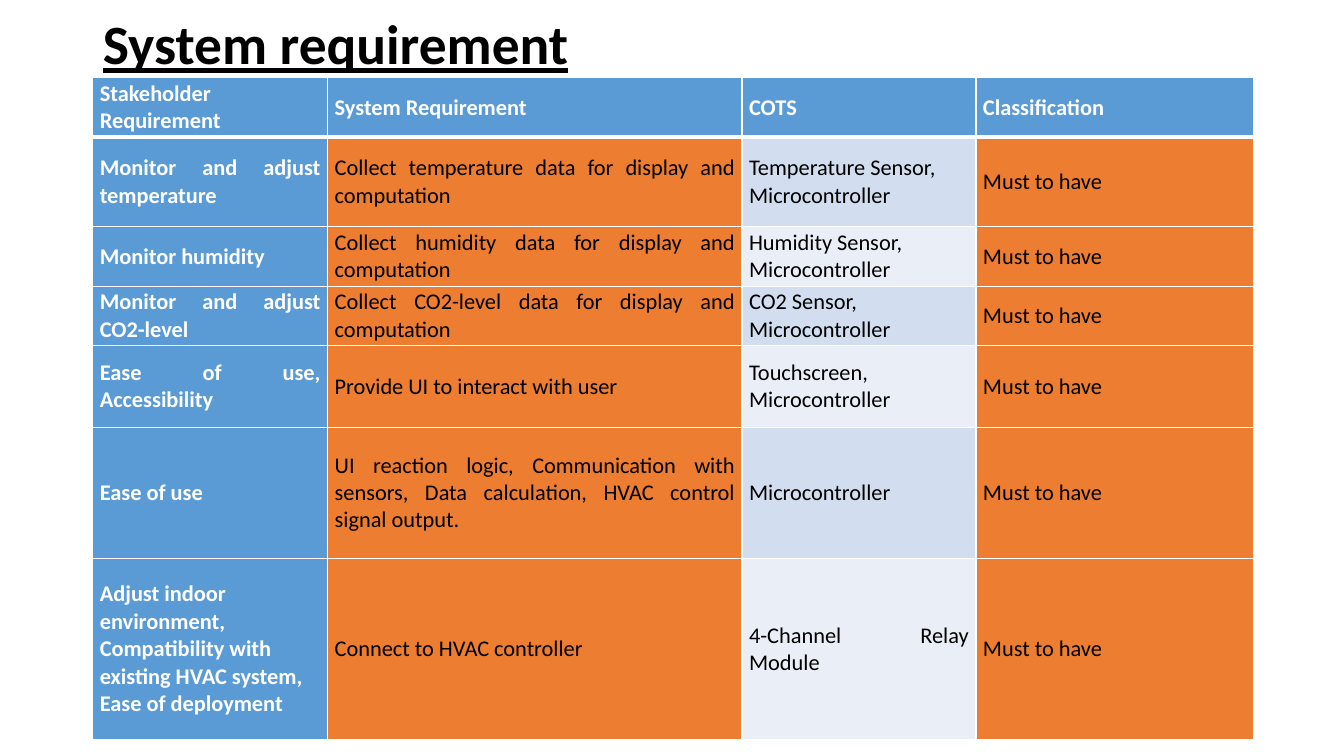
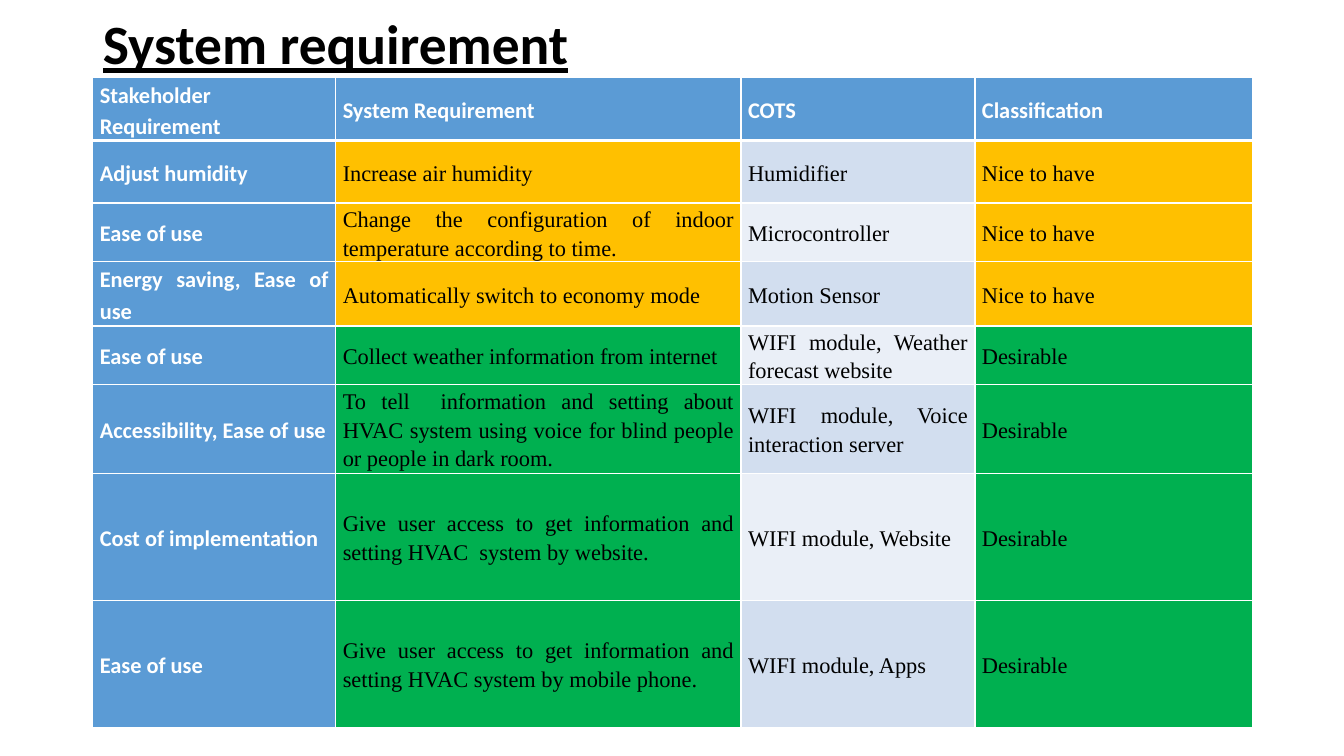
from lxml.etree import SubElement
from pptx import Presentation
from pptx.dml.color import RGBColor
from pptx.enum.text import MSO_ANCHOR, MSO_AUTO_SIZE, PP_ALIGN
from pptx.oxml.ns import qn
from pptx.util import Inches, Pt

# Content: each row ends with its classification
TITLE = "System requirement"
HEADER = ("Stakeholder Requirement", "System Requirement", "COTS", "Classification ")
MUST, NICE, DESIRABLE = "Must to have", "Nice to have", "Desirable"

ESSENTIAL_ROWS = [
    ("Monitor and adjust temperature",
     "Collect temperature data for display and computation",
     "Temperature Sensor, Microcontroller", MUST),
    ("Monitor humidity", "Collect humidity data for display and computation",
     "Humidity Sensor, Microcontroller", MUST),
    ("Monitor and adjust CO2-level",
     "Collect CO2-level data for display and computation",
     "CO2 Sensor, Microcontroller", MUST),
    ("Ease of use, Accessibility", "Provide UI to interact with user",
     "Touchscreen, Microcontroller", MUST),
    ("Ease of use",
     "UI reaction logic, Communication with sensors, Data calculation, "
     "HVAC control signal output.",
     "Microcontroller", MUST),
    ("Adjust indoor environment, Compatibility with existing HVAC system, "
     "Ease of deployment ",
     "Connect to HVAC controller", "4-Channel Relay Module", MUST),
]
OPTIONAL_ROWS = [
    ("Adjust humidity", "Increase air humidity", "Humidifier", NICE),
    ("Ease of use",
     "Change the configuration of indoor temperature according to time.",
     "Microcontroller", NICE),
    ("Energy saving, Ease of use", "Automatically switch to economy mode",
     "Motion Sensor", NICE),
    ("Ease of use", "Collect weather information from internet",
     "WIFI module, Weather forecast website", DESIRABLE),
    ("Accessibility, Ease of use",
     "To tell  information and setting about HVAC system using voice "
     "for blind people or people in dark room.",
     "WIFI module, Voice interaction server", DESIRABLE),
    ("Cost of implementation",
     "Give user access to get information and setting HVAC  system by website.",
     "WIFI module, Website", DESIRABLE),
    ("Ease of use",
     "Give user access to get information and setting HVAC system by mobile phone.",
     "WIFI module, Apps", DESIRABLE),
]

# left_cells holds the (row, column) places that are not justified
SLIDES = [
    dict(rows=ESSENTIAL_ROWS, columns=(2.33, 4.11, 2.32, 2.75),
         heights=(0.59, 0.89, 0.59, 0.59, 0.81, 1.3, 1.8),
         body_font="Calibri", spacing=1.0,
         left_cells={(0, 0), (0, 1), (1, 2), (2, 2), (3, 2), (4, 2), (5, 0), (6, 0)}),
    dict(rows=OPTIONAL_ROWS, columns=(2.41, 4.02, 2.32, 2.75),
         heights=(0.58, 0.62, 0.58, 0.64, 0.58, 0.88, 1.26, 1.26),
         body_font="Times New Roman", spacing=1.15,
         left_cells={(0, 0), (0, 1), (1, 0), (2, 0), (5, 0), (6, 0)}),
]

# Shared style
COLORS = {"white": "FFFFFF", "black": "000000", "blue": "5B9BD5",
          "odd": "D2DEEF", "even": "EAEFF7",
          MUST: "ED7D31", NICE: "FFC000", DESIRABLE: "00B050"}
LEFT, WIDTH = Inches(0.92), Inches(11.5)
TITLE_TOP, TITLE_HEIGHT = Inches(0.16), Inches(0.61)
TABLE_TOP = TITLE_TOP + TITLE_HEIGHT


def write_text(frame, text, size=16, font="Calibri", color="black", bold=False,
               underline=False, align=PP_ALIGN.LEFT, spacing=1.0):
    paragraph = frame.paragraphs[0]
    paragraph.alignment = align
    paragraph.line_spacing = spacing
    run = paragraph.add_run()
    run.text = text
    run.font.size = Pt(size)
    run.font.name = font
    run.font.bold = bold
    run.font.underline = underline
    run.font.color.rgb = RGBColor.from_string(COLORS[color])


def add_borders(cell, top, bottom):
    properties = cell._tc.get_or_add_tcPr()
    for side, points in (("L", 1), ("R", 1), ("T", top), ("B", bottom)):
        line = SubElement(properties, qn(f"a:ln{side}"), w=str(Pt(points)))
        fill = SubElement(line, qn("a:solidFill"))
        SubElement(fill, qn("a:srgbClr"), val=COLORS["white"])


def cell_fill(row, column, classification):
    if row == 0 or column == 0:
        return "blue"
    if column == 2:
        return "odd" if row % 2 else "even"
    return classification


def add_title(slide):
    title = slide.shapes.title
    title.left, title.top, title.width, title.height = LEFT, TITLE_TOP, WIDTH, TITLE_HEIGHT
    frame = title.text_frame
    frame.auto_size = MSO_AUTO_SIZE.NONE
    frame.vertical_anchor = MSO_ANCHOR.MIDDLE
    write_text(frame, TITLE, size=39.6, bold=True, underline=True, spacing=0.9)


def add_requirements(slide, rows, columns, heights, body_font, spacing, left_cells):
    table = slide.shapes.add_table(
        len(heights), len(columns), LEFT, TABLE_TOP, WIDTH, Inches(sum(heights))).table
    table.horz_banding = False
    for column, width in zip(table.columns, columns):
        column.width = Inches(width)
    for row, height in zip(table.rows, heights):
        row.height = Inches(height)

    for r, texts in enumerate([HEADER, *rows]):
        for c, text in enumerate(texts):
            cell = table.cell(r, c)
            cell.vertical_anchor = MSO_ANCHOR.MIDDLE
            cell.margin_left = cell.margin_right = Inches(0.07)
            cell.margin_top = cell.margin_bottom = 0
            add_borders(cell, top=3 if r == 1 else 1, bottom=3 if r == 0 else 1)
            fill = cell_fill(r, c, texts[-1])
            cell.fill.solid()
            cell.fill.fore_color.rgb = RGBColor.from_string(COLORS[fill])
            heading = fill == "blue"
            write_text(cell.text_frame, text, bold=heading, spacing=spacing,
                       font="Calibri" if heading else body_font,
                       color="white" if heading else "black",
                       align=PP_ALIGN.LEFT if (r, c) in left_cells else PP_ALIGN.JUSTIFY)


# Build the slides
presentation = Presentation()
presentation.slide_width, presentation.slide_height = Inches(13.33), Inches(7.5)
title_only = presentation.slide_layouts[5]
for content in SLIDES:
    slide = presentation.slides.add_slide(title_only)
    add_title(slide)
    add_requirements(slide, **content)
presentation.save("out.pptx")
